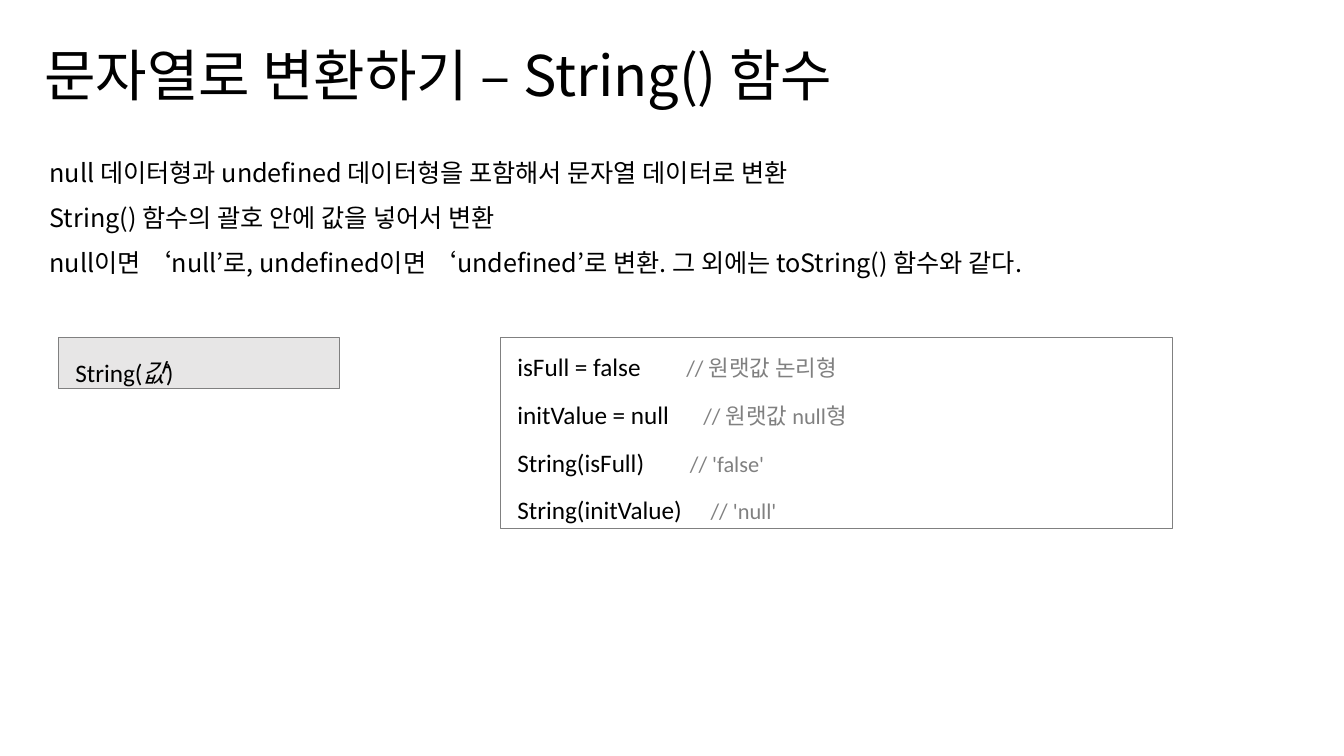
from dataclasses import dataclass

from pptx import Presentation
from pptx.dml.color import RGBColor
from pptx.enum.shapes import MSO_SHAPE
from pptx.enum.text import MSO_ANCHOR, MSO_AUTO_SIZE, PP_ALIGN
from pptx.util import Cm, Pt

RECTANGLE = MSO_SHAPE.RECTANGLE
TOP, MIDDLE = MSO_ANCHOR.TOP, MSO_ANCHOR.MIDDLE
NO_AUTOFIT = MSO_AUTO_SIZE.NONE
LEFT = PP_ALIGN.LEFT
TITLE_ONLY = 5
COMMENT_COLUMN = 22


@dataclass(frozen=True)
class Theme:
    korean_font: str = "Noto Sans CJK KR"
    code_font: str = "Calibri"
    ink: RGBColor = RGBColor(0, 0, 0)
    grey: RGBColor = RGBColor(0x80, 0x80, 0x80)
    panel: RGBColor = RGBColor(0xE7, 0xE6, 0xE6)
    title_size: Pt = Pt(40)
    body_size: Pt = Pt(18)
    comment_size: Pt = Pt(16)
    border: Pt = Pt(0.75)


THEME = Theme()

EXPLANATIONS = [
    "null 데이터형과 undefined 데이터형을 포함해서 문자열 데이터로 변환",
    "String() 함수의 괄호 안에 값을 넣어서 변환",
    "null이면 ‘null’로, undefined이면 ‘undefined’로 변환. 그 외에는 toString() 함수와 같다.",
]
EXAMPLES = [
    ("isFull = false", "// 원랫값 논리형"),
    ("initValue = null", "// 원랫값 null형"),
    ("String(isFull)", "// 'false'"),
    ("String(initValue)", "// 'null'"),
]


def style_paragraph(para, font_name, size):
    para.alignment = LEFT
    font = para.font
    font.name, font.size = font_name, size
    font.color.rgb = THEME.ink


def prepare_frame(box, anchor):
    frame = box.text_frame
    frame.word_wrap = True
    frame.auto_size = NO_AUTOFIT
    frame.vertical_anchor = anchor
    return frame


def next_paragraph(frame, index):
    return frame.paragraphs[0] if index == 0 else frame.add_paragraph()


def set_title(page, text):
    title = page.shapes.title
    title.left, title.top = Cm(0.86), Cm(0.89)
    title.width, title.height = Cm(24.51), Cm(1.96)
    frame = prepare_frame(title, MIDDLE)
    frame.text = text
    style_paragraph(frame.paragraphs[0], THEME.korean_font, THEME.title_size)


def add_explanations(page, lines):
    box = page.shapes.add_textbox(Cm(1), Cm(3.45), Cm(26.87), Cm(3.58))
    frame = prepare_frame(box, TOP)
    for index, line in enumerate(lines):
        para = next_paragraph(frame, index)
        para.text = line
        para.line_spacing = 1.5
        style_paragraph(para, THEME.korean_font, THEME.body_size)


def add_code_panel(page, left, width, height, fill=None):
    box = page.shapes.add_shape(RECTANGLE, left, Cm(8.51), width, height)
    box.shadow.inherit = False
    if fill is None:
        box.fill.background()
    else:
        box.fill.solid()
        box.fill.fore_color.rgb = fill
    box.line.color.rgb = THEME.grey
    box.line.width = THEME.border
    return prepare_frame(box, TOP)


def add_code_line(frame, index, line_spacing):
    para = next_paragraph(frame, index)
    para.line_spacing = line_spacing
    para.space_before = Pt(3 if index else 0)
    para.space_after = Pt(3)
    properties = para._p.get_or_add_pPr()
    properties.set("marL", str(Cm(0.18)))
    properties.set("indent", "0")
    style_paragraph(para, THEME.code_font, THEME.body_size)
    return para


def add_span(para, text):
    span = para.add_run()
    span.text = text
    return span.font


def add_syntax(page):
    frame = add_code_panel(page, Cm(1.47), Cm(7.09), Cm(1.29), THEME.panel)
    para = add_code_line(frame, 0, 1.5)
    add_span(para, "String(")
    add_span(para, "값").italic = True
    add_span(para, ")")


def add_examples(page, examples):
    frame = add_code_panel(page, Cm(12.61), Cm(16.94), Cm(4.82))
    for index, (code, comment) in enumerate(examples):
        para = add_code_line(frame, index, 1.3)
        add_span(para, code.ljust(COMMENT_COLUMN))
        comment_font = add_span(para, comment)
        comment_font.size = THEME.comment_size
        comment_font.color.rgb = THEME.grey


def main():
    deck = Presentation()
    deck.slide_width, deck.slide_height = Cm(33.87), Cm(19.05)
    page = deck.slides.add_slide(deck.slide_layouts[TITLE_ONLY])
    set_title(page, "문자열로 변환하기 – String() 함수")
    add_explanations(page, EXPLANATIONS)
    add_syntax(page)
    add_examples(page, EXAMPLES)
    deck.save("out.pptx")


if __name__ == "__main__":
    main()
